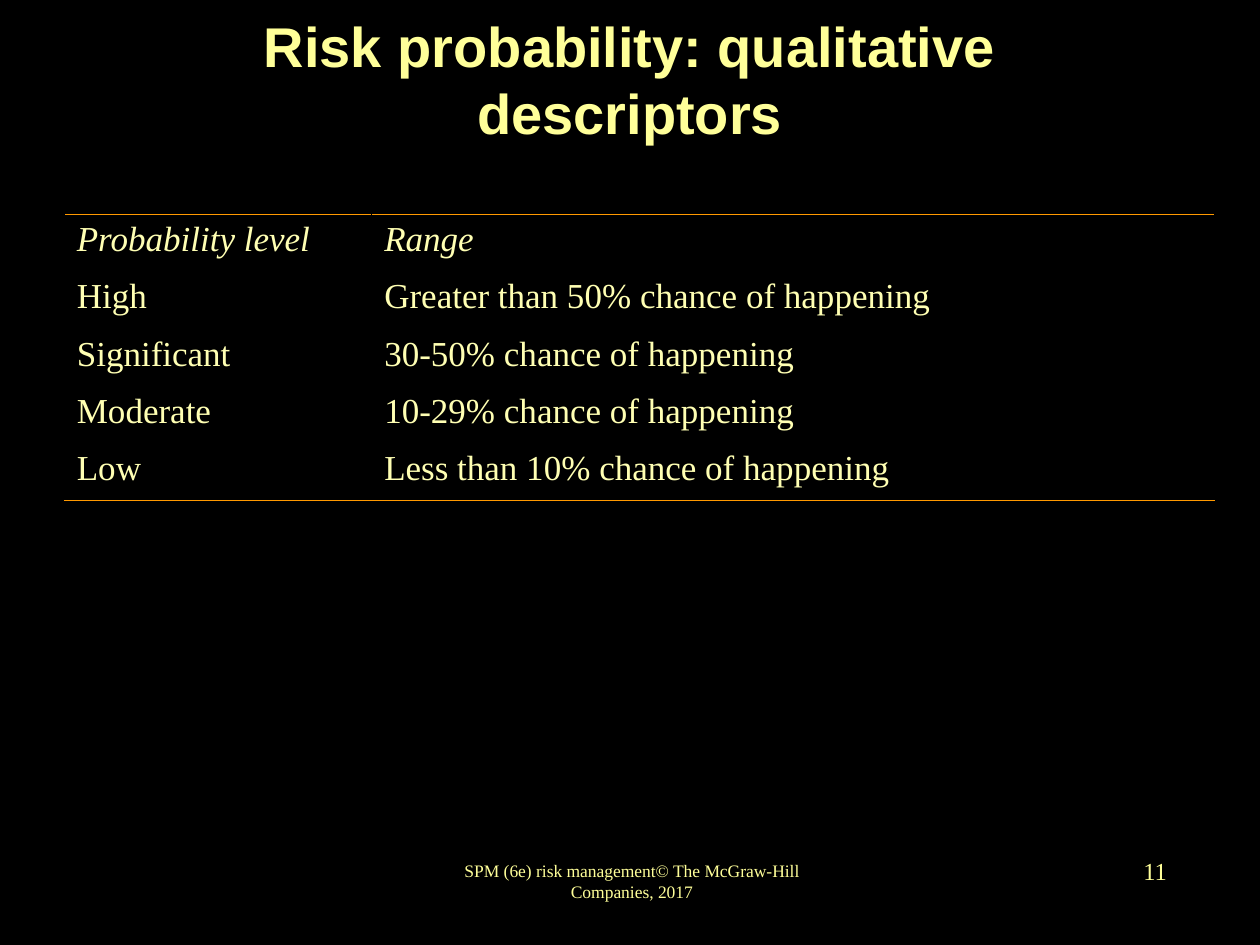
from lxml import etree
from pptx import Presentation
from pptx.dml.color import RGBColor
from pptx.enum import text
from pptx.oxml.ns import qn
from pptx.util import Inches, Pt

BLACK = RGBColor(0x00, 0x00, 0x00)
ORANGE = RGBColor(0xFF, 0x99, 0x00)
YELLOW = RGBColor(0xFF, 0xFF, 0x99)
PALE_YELLOW = RGBColor(0xFF, 0xFF, 0xB3)


def write(tf, words, size, color=YELLOW, font="Times New Roman",
          align=text.PP_ALIGN.CENTER, bold=False, italic=False, wrap=True):
    tf.word_wrap = wrap
    p = tf.paragraphs[0]
    p.alignment = align
    r = p.add_run()
    r.text = words
    r.font.name, r.font.size = font, Pt(size)
    r.font.bold, r.font.italic = bold, italic
    r.font.color.rgb = color


def add_border(cell, side, color, width):
    """Draw one cell edge; side is L, R, T or B, added in that order."""
    ln = etree.SubElement(cell._tc.get_or_add_tcPr(), qn("a:ln" + side), w=str(Pt(width)))
    fill = etree.SubElement(ln, qn("a:solidFill"))
    etree.SubElement(fill, qn("a:srgbClr"), val=str(color))


prs = Presentation()
prs.slide_width, prs.slide_height = Inches(10), Inches(7.5)
s = prs.slides.add_slide(prs.slide_layouts[6])
s.background.fill.solid()
s.background.fill.fore_color.rgb = BLACK

# Footer, page number and title
boxes = [
    ((3.43, 6.74, 3.17, 0.5), "SPM (6e) risk management© The McGraw-Hill Companies, 2017",
     dict(size=10, wrap=False)),
    ((7.28, 6.66, 2.08, 0.5), "11", dict(size=14, align=text.PP_ALIGN.RIGHT)),
    ((0.75, 0, 8.5, 1.25), "Risk probability: qualitative descriptors",
     dict(size=32, font="Arial", bold=True)),
]
for place, words, style in boxes:
    tf = s.shapes.add_textbox(*map(Inches, place)).text_frame
    tf.vertical_anchor = text.MSO_ANCHOR.MIDDLE
    write(tf, words, **style)

# Probability table
rows = [
    ("Probability level", "Range"),
    ("High", "Greater than 50% chance of happening"),
    ("Significant", "30-50% chance of happening"),
    ("Moderate", "10-29% chance of happening"),
    ("Low", "Less than 10% chance of happening"),
]
last = len(rows) - 1
table = s.shapes.add_table(len(rows), 2, Inches(0.51), Inches(1.7),
                           Inches(9.13), Inches(2.27)).table
table.first_row = table.horz_banding = False
table.columns[0].width, table.columns[1].width = Inches(2.44), Inches(6.69)

for i, row in enumerate(rows):
    for j, words in enumerate(row):
        cell = table.cell(i, j)
        write(cell.text_frame, words, 20, PALE_YELLOW,
              align=text.PP_ALIGN.JUSTIFY, italic=i == 0)
        for side in "LRTB":
            outer = (side, i) in (("T", 0), ("B", last))
            add_border(cell, side, *((ORANGE, 0.45) if outer else (BLACK, 0.34)))
        cell.fill.background()

prs.save("out.pptx")
